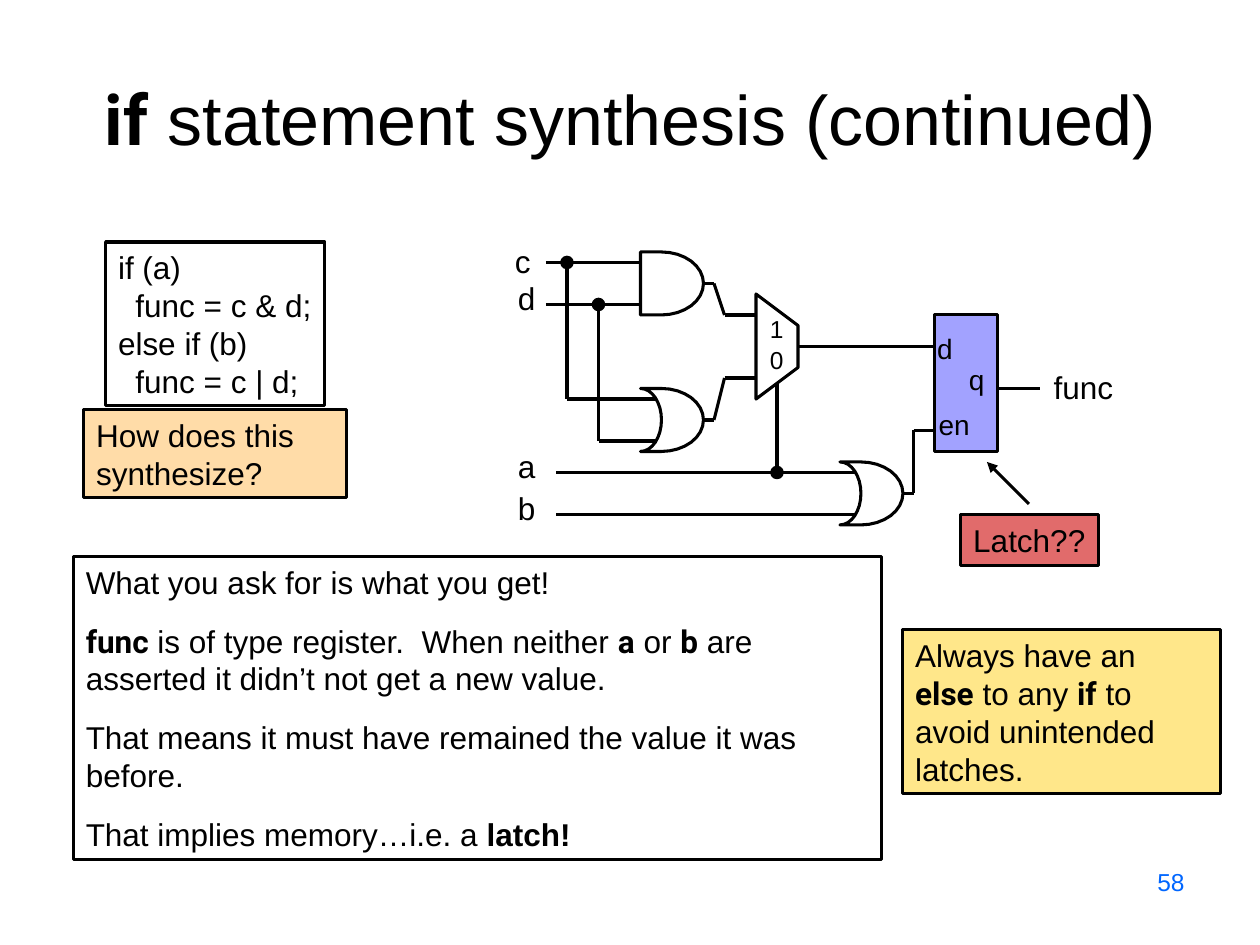
from dataclasses import dataclass
from itertools import pairwise
from math import cos, pi, sin
from typing import Any, Optional

from lxml import etree
from pptx import Presentation
from pptx.dml.color import RGBColor
from pptx.enum.shapes import MSO_CONNECTOR, MSO_SHAPE
from pptx.enum.text import MSO_ANCHOR, PP_ALIGN
from pptx.oxml.ns import qn
from pptx.util import Cm, Pt

RECTANGLE, OVAL = MSO_SHAPE.RECTANGLE, MSO_SHAPE.OVAL
STRAIGHT = MSO_CONNECTOR.STRAIGHT
TOP, BOTTOM = MSO_ANCHOR.TOP, MSO_ANCHOR.BOTTOM
LEFT, CENTER, RIGHT = PP_ALIGN.LEFT, PP_ALIGN.CENTER, PP_ALIGN.RIGHT

BLACK = "000000"
LINE_WIDTH = Pt(1.75)
GRID_CM = 2.54 / 12  # the circuit sits on a grid of twelve steps to the inch
ARC_STEPS = 16

Point = tuple[float, float]
Rect = tuple[float, float, float, float]


@dataclass
class Run:
    text: str
    bold: bool = False
    font: str = "Arial"


@dataclass
class TextBlock:
    """Text in a rectangle given in centimetres, with an optional frame."""
    rect: Rect
    paragraphs: list[list[Run]]
    size: float = 18
    color: str = BLACK
    framed: bool = False
    fill: Optional[str] = None
    opacity: int = 100
    gap: float = 0
    wrap: bool = True
    align: Any = LEFT
    anchor: Any = TOP


@dataclass
class Gate:
    """A gate six grid steps wide and high; an OR gate has a curved back."""
    left: float
    top: float
    is_or: bool


def code(text: str) -> Run:
    return Run(text, True, "Roboto")


def plain(*lines: str) -> list[list[Run]]:
    return [[Run(line)] for line in lines]


def label(text: str, left: float, top: float, width: float, size: float = 18) -> TextBlock:
    return TextBlock((left, top, width, size * 0.057), plain(text), size, wrap=False)


TITLE = TextBlock((1.27, 0.16, 22.86, 3.18),
                  [[code("if"), Run(" statement synthesis (continued)")]],
                  40, align=CENTER, anchor=BOTTOM)
PANELS = [
    TextBlock((2.13, 4.88, 4.42, 3.3),
              plain("if (a)", "  func = c & d;", "else if (b)", "  func = c | d;"),
              framed=True, wrap=False),
    TextBlock((1.69, 8.26, 5.3, 1.78), plain("How does this", "synthesize?"),
              framed=True, fill="FF9900", opacity=34),
    TextBlock((19.37, 10.37, 2.78, 1.03), plain("Latch??"),
              framed=True, fill="CC0000", opacity=58, wrap=False),
    TextBlock((1.48, 11.22, 16.3, 6.1), [
        [Run("What you ask for is what you get!")],
        [code("func"), Run(" is of type register.  When neither "), code("a"),
         Run(" or "), code("b"), Run(" are asserted it didn’t not get a new value.")],
        [Run("That means it must have remained the value it was before.")],
        [Run("That implies memory…i.e. a "), Run("latch!", True)],
    ], framed=True, gap=12),
    TextBlock((18.2, 12.7, 6.4, 3.3), [
        [Run("Always have an")],
        [code("else"), Run(" to any "), code("if"), Run(" to avoid unintended")],
        [Run("latches.")],
    ], framed=True, fill="FFCC00", opacity=46),
    TextBlock((18.2, 17.36, 5.93, 1.31), plain("58"), 14, "0066FF", align=RIGHT),
]
REGISTER = TextBlock((18.84, 6.35, 1.27, 2.75), [], framed=True, fill="6969FF", opacity=62)
LABELS = [
    label("c", 10.13, 4.75, 0.85), label("d", 10.19, 5.51, 0.9),
    label("a", 10.19, 8.89, 0.9), label("b", 10.19, 9.73, 0.9),
    label("func", 20.99, 7.29, 1.7),
    label("1", 15.27, 6.2, 0.82, 14), label("0", 15.27, 6.83, 0.82, 14),
    label("d", 18.64, 6.55, 0.85, 16), label("q", 19.28, 7.19, 0.85, 16),
    label("en", 18.67, 8.1, 1.25, 16),
]
GATES = [Gate(61, 24, False), Gate(61, 37, True), Gate(80, 44, True)]
MULTIPLEXER: list[Point] = [(72, 28), (76, 31), (76, 35), (72, 38)]
JUNCTIONS: list[Point] = [(54, 25), (57, 29), (74, 45)]
WIRES: list[list[Point]] = [
    [(52, 25), (61, 25)],
    [(52, 29), (61, 29)],
    [(54, 25), (54, 38), (62.5, 38)],
    [(57, 29), (57, 42), (62.5, 42)],
    [(67, 27), (68, 27), (69, 30), (72, 30)],
    [(67, 40), (68, 40), (69, 36), (72, 36)],
    [(76, 33), (89, 33)],
    [(74, 36.6), (74, 45)],
    [(53, 45), (81.5, 45)],
    [(53, 49), (81.5, 49)],
    [(86, 47), (87, 47), (87, 41), (89, 41)],
    [(95, 37), (99, 37)],
]
LATCH_ARROW: list[Point] = [(98, 48), (94, 44)]


def grid(steps: float) -> Cm:
    return Cm(steps * GRID_CM)


def rgb(value: str) -> RGBColor:
    return RGBColor.from_string(value)


def apply_format(target: Any, values: dict[str, Any]) -> None:
    for name, value in values.items():
        setattr(target, name, value)


def style_shape(shape: Any, fill: Optional[str], opacity: int = 100) -> None:
    shape.shadow.inherit = False
    shape.line.color.rgb = rgb(BLACK)
    shape.line.width = LINE_WIDTH
    if fill is None:
        shape.fill.background()
        return
    shape.fill.solid()
    shape.fill.fore_color.rgb = rgb(fill)
    if opacity < 100:
        color = shape.fill._xPr.find(qn("a:solidFill"))[0]
        etree.SubElement(color, qn("a:alpha"), val=str(opacity * 1000))


def draw_text(slide: Any, block: TextBlock) -> None:
    rect = [Cm(value) for value in block.rect]
    if block.framed:
        shape = slide.shapes.add_shape(RECTANGLE, *rect)
        style_shape(shape, block.fill, block.opacity)
    else:
        shape = slide.shapes.add_textbox(*rect)
    frame = shape.text_frame
    apply_format(frame, {"word_wrap": block.wrap, "vertical_anchor": block.anchor})
    for index, runs in enumerate(block.paragraphs):
        paragraph = frame.add_paragraph() if index else frame.paragraphs[0]
        apply_format(paragraph, {"alignment": block.align,
                                 "space_before": Pt(block.gap if index else 0)})
        for item in runs:
            run = paragraph.add_run()
            run.text = item.text
            apply_format(run.font, {"name": item.font, "size": Pt(block.size),
                                    "bold": item.bold})
            run.font.color.rgb = rgb(block.color)


def draw_wire(slide: Any, points: list[Point], arrow: bool = False) -> None:
    for start, end in pairwise(points):
        wire = slide.shapes.add_connector(STRAIGHT, *map(grid, start + end))
        wire.line.color.rgb = rgb(BLACK)
        wire.line.width = LINE_WIDTH
        if arrow:
            etree.SubElement(wire.line._get_or_add_ln(), qn("a:tailEnd"), type="triangle")
        etree.SubElement(wire._element.spPr, qn("a:effectLst"))


def draw_outline(slide: Any, points: list[Point]) -> None:
    vertices = [(grid(x), grid(y)) for x, y in points]
    builder = slide.shapes.build_freeform(*vertices[0])
    builder.add_line_segments(vertices[1:], close=True)
    style_shape(builder.convert_to_shape(), None)


def bulge(left: float, top: float, depth: float) -> list[Point]:
    """Half an ellipse, six steps high, from its top to its bottom."""
    angles = [pi * step / ARC_STEPS for step in range(ARC_STEPS + 1)]
    return [(left + depth * sin(a), top + 3 - 3 * cos(a)) for a in angles]


def draw_gate(slide: Any, gate: Gate) -> None:
    back = bulge(gate.left, gate.top, 2 if gate.is_or else 0)
    draw_outline(slide, bulge(gate.left + 2, gate.top, 4) + back[::-1])


def draw_junction(slide: Any, center: Point) -> None:
    x, y = center
    dot = slide.shapes.add_shape(OVAL, grid(x - 0.5), grid(y - 0.5), grid(1), grid(1))
    style_shape(dot, BLACK)


def main() -> None:
    presentation = Presentation()
    apply_format(presentation, {"slide_width": Cm(25.4), "slide_height": Cm(19.05)})
    slide = presentation.slides.add_slide(presentation.slide_layouts[6])
    for block in [TITLE, REGISTER]:
        draw_text(slide, block)
    for wire in WIRES:
        draw_wire(slide, wire)
    for gate in GATES:
        draw_gate(slide, gate)
    draw_outline(slide, MULTIPLEXER)
    for junction in JUNCTIONS:
        draw_junction(slide, junction)
    draw_wire(slide, LATCH_ARROW, arrow=True)
    for block in LABELS + PANELS:
        draw_text(slide, block)
    presentation.save("out.pptx")


if __name__ == "__main__":
    main()
